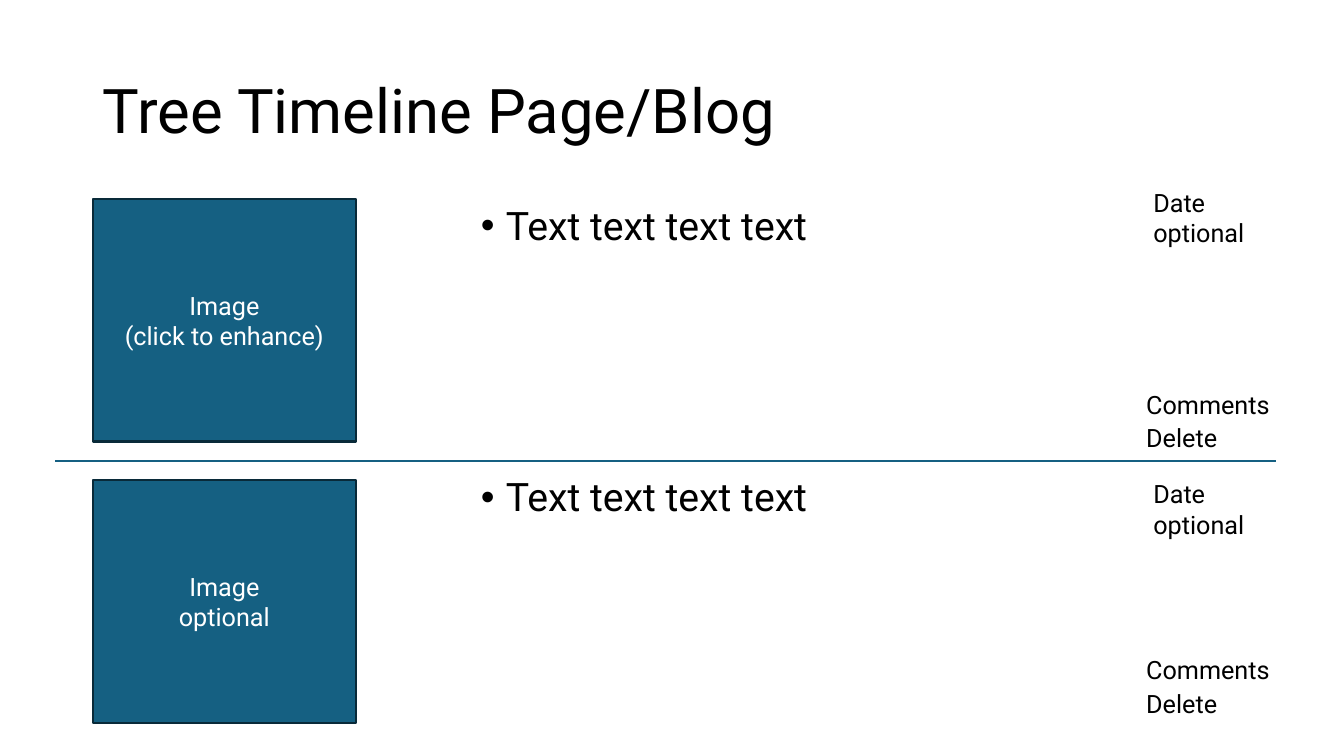
from lxml.etree import SubElement
from pptx import Presentation
from pptx.dml.color import RGBColor
from pptx.enum.shapes import MSO_CONNECTOR, MSO_SHAPE
from pptx.enum.text import MSO_ANCHOR, MSO_AUTO_SIZE, PP_ALIGN
from pptx.oxml.ns import qn
from pptx.util import Inches, Pt

BLACK, WHITE, TEAL, DARK_TEAL = "000000", "FFFFFF", "156082", "092A39"
MARGIN, TEXT_LEFT, ACTION_LEFT, DATE_LEFT = 0.92, 4.67, 11.27, 11.34


def rgb(hex_color):
    return RGBColor.from_string(hex_color)


def write(frame, text, size, color=BLACK, align=PP_ALIGN.LEFT, anchor=MSO_ANCHOR.TOP):
    """Fill a text frame, one paragraph per line of text."""
    frame.text = text
    frame.word_wrap = True
    frame.auto_size = MSO_AUTO_SIZE.NONE
    frame.vertical_anchor = anchor
    for paragraph in frame.paragraphs:
        paragraph.alignment = align
        for run in paragraph.runs:
            run.font.name = "Roboto"
            run.font.size = Pt(size)
            run.font.color.rgb = rgb(color)


prs = Presentation()
prs.slide_width, prs.slide_height = Inches(13.33), Inches(7.5)
slide = prs.slides.add_slide(prs.slide_layouts[5])
shapes = slide.shapes

title = shapes.title
title.left, title.top = Inches(MARGIN), Inches(0.4)
title.width, title.height = Inches(11.5), Inches(1.45)
write(title.text_frame, "Tree Timeline Page/Blog", 44, anchor=MSO_ANCHOR.MIDDLE)
title.text_frame.paragraphs[0].line_spacing = 0.9

# Each entry: image caption, then tops of image, text, date, comments and delete
entries = [
    ("Image\n(click to enhance)", 1.97, 2.0, 1.81, 3.81, 4.14),
    ("Image\noptional", 4.76, 4.69, 4.7, 6.44, 6.78),
]
for caption, image_top, text_top, date_top, comments_top, delete_top in entries:
    image = shapes.add_shape(
        MSO_SHAPE.RECTANGLE, Inches(MARGIN), Inches(image_top), Inches(2.61), Inches(2.41)
    )
    image.shadow.inherit = False
    image.fill.solid()
    image.fill.fore_color.rgb = rgb(TEAL)
    image.line.color.rgb = rgb(DARK_TEAL)
    image.line.width = Pt(1.5)
    write(image.text_frame, caption, 18, WHITE, PP_ALIGN.CENTER, MSO_ANCHOR.MIDDLE)

    body = shapes.add_textbox(Inches(TEXT_LEFT), Inches(text_top), Inches(7.75), Inches(2.49))
    write(body.text_frame, "Text text text text", 28)
    bullet = body.text_frame.paragraphs[0]
    bullet.line_spacing = 0.9
    properties = bullet._p.get_or_add_pPr()
    properties.set("marL", str(Inches(0.25)))
    properties.set("indent", str(-Inches(0.25)))
    SubElement(properties, qn("a:buFont")).set("typeface", "Arial")
    SubElement(properties, qn("a:buChar")).set("char", "•")

    for label, left, top, width, height in [
        ("Date optional", DATE_LEFT, date_top, 1.32, 0.71),
        ("Comments", ACTION_LEFT, comments_top, 1.5, 0.4),
        ("Delete", ACTION_LEFT, delete_top, 1.5, 0.4),
    ]:
        box = shapes.add_textbox(Inches(left), Inches(top), Inches(width), Inches(height))
        write(box.text_frame, label, 18)
        box.text_frame.auto_size = MSO_AUTO_SIZE.SHAPE_TO_FIT_TEXT

divider = shapes.add_connector(
    MSO_CONNECTOR.STRAIGHT, Inches(0.55), Inches(4.57), Inches(12.66), Inches(4.57)
)
divider.line.color.rgb = rgb(TEAL)
divider.line.width = Pt(1.5)
SubElement(divider._element.spPr, qn("a:effectLst"))

prs.save("out.pptx")
